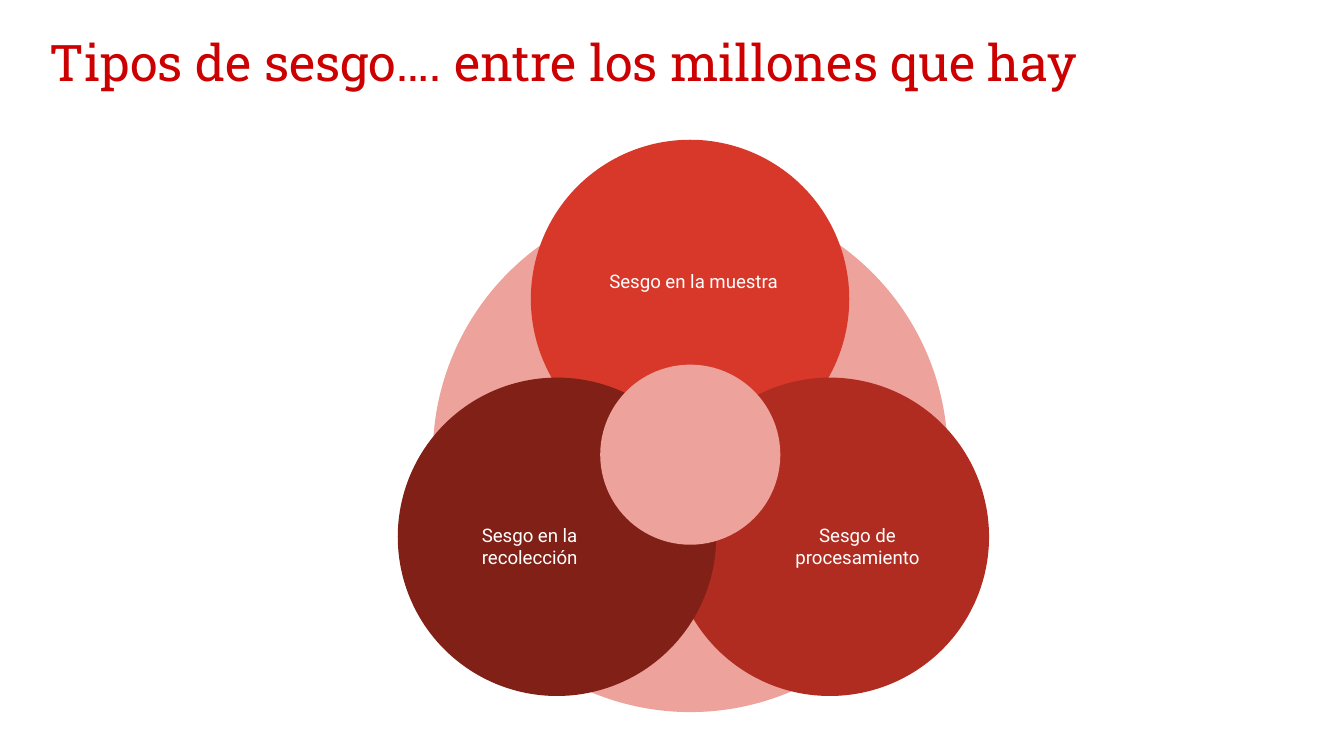
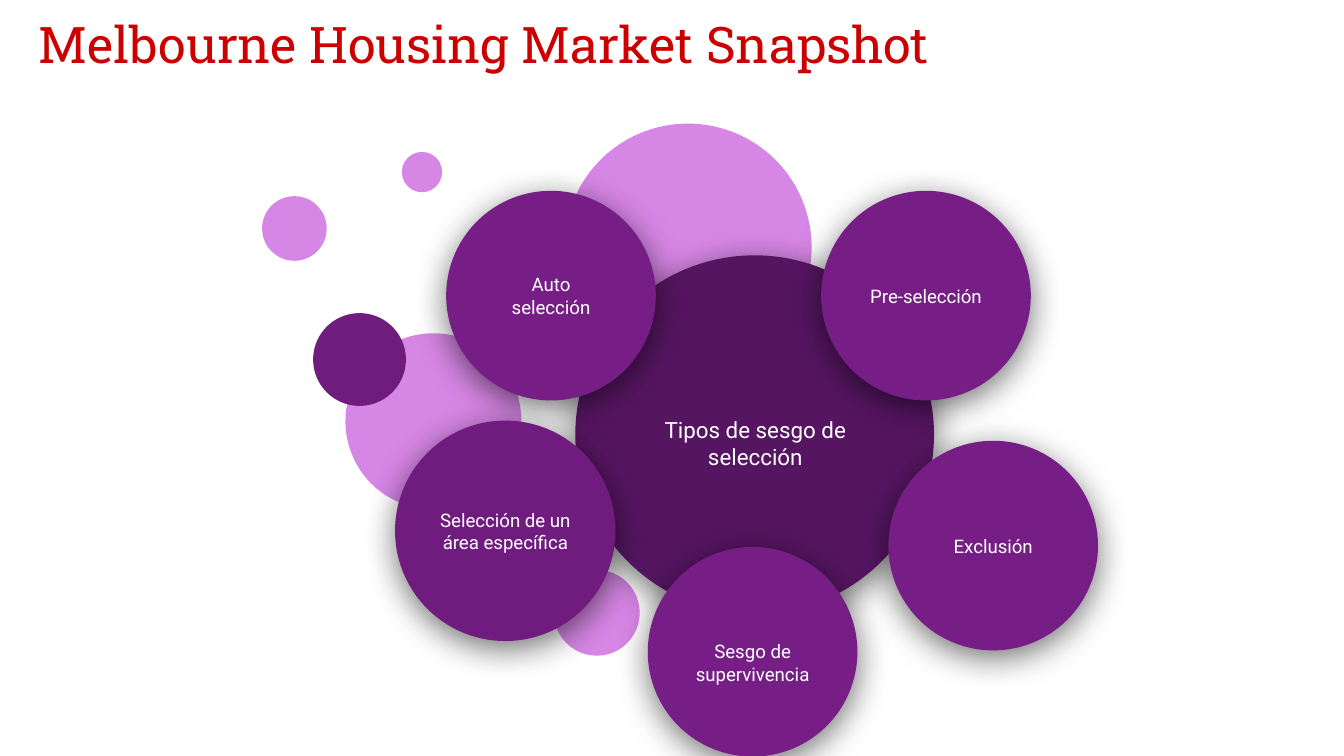
from lxml import etree
from pptx import Presentation
from pptx.dml.color import RGBColor
from pptx.enum import shapes, text
from pptx.oxml import ns
from pptx.util import Pt

WHITE = RGBColor(0xFF, 0xFF, 0xFF)
TITLE_RED = RGBColor(0xCC, 0x00, 0x00)
PALE_RED = RGBColor(0xED, 0xA2, 0x9B)
BRIGHT_RED = RGBColor(0xD8, 0x38, 0x29)
MEDIUM_RED = RGBColor(0xB0, 0x2C, 0x20)
DARK_RED = RGBColor(0x80, 0x20, 0x17)
LILAC = RGBColor(0xD6, 0x86, 0xE4)
PURPLE = RGBColor(0x76, 0x1E, 0x86)
DEEP_PURPLE = RGBColor(0x70, 0x1C, 0x7F)
DARK_PURPLE = RGBColor(0x55, 0x15, 0x61)
BLACK = RGBColor(0x00, 0x00, 0x00)

BODY_FONT = "Roboto"
TITLE_FONT = "Roboto Slab"
INSET = 7.2


def set_insets(text_frame, top=INSET):
    """Give a text frame its insets, wrapping and fixed size."""
    text_frame.margin_left = text_frame.margin_right = Pt(INSET)
    text_frame.margin_top, text_frame.margin_bottom = Pt(top), Pt(INSET)
    text_frame.word_wrap = True
    text_frame.auto_size = text.MSO_AUTO_SIZE.NONE


def format_text(text_frame, font_name, size, color, alignment):
    """Format every paragraph and run of a text frame."""
    for paragraph in text_frame.paragraphs:
        paragraph.alignment = alignment
        for run in paragraph.runs:
            run.font.name = font_name
            run.font.size = Pt(size)
            run.font.color.rgb = color


def add_titled_slide(presentation, title, left, top):
    """Add a title-only slide with its title in place."""
    slide = presentation.slides.add_slide(presentation.slide_layouts[5])
    shape = slide.shapes.title
    shape.left, shape.top, shape.width, shape.height = Pt(left), Pt(top), Pt(671), Pt(45.4)
    shape.text_frame.text = title
    set_insets(shape.text_frame)
    shape.text_frame.vertical_anchor = text.MSO_ANCHOR.TOP
    format_text(shape.text_frame, TITLE_FONT, 27, TITLE_RED, text.PP_ALIGN.LEFT)
    return slide


def add_shadow(shape):
    """Cast a soft black shadow below a shape."""
    properties = shape._element.spPr
    for effects in properties.findall(ns.qn("a:effectLst")):
        properties.remove(effects)
    effects = etree.SubElement(properties, ns.qn("a:effectLst"))
    shadow = etree.SubElement(
        effects, ns.qn("a:outerShdw"), blurRad=str(Pt(18)), dist=str(Pt(4)),
        dir="5400000", algn="ctr", rotWithShape="0")
    color = etree.SubElement(shadow, ns.qn("a:srgbClr"), val=str(BLACK))
    etree.SubElement(color, ns.qn("a:alpha"), val="55000")


def add_circle(container, center, diameter, color):
    """Add a plain filled circle around a centre point."""
    x, y = center
    shape = container.shapes.add_shape(
        shapes.MSO_SHAPE.OVAL, Pt(x - diameter / 2), Pt(y - diameter / 2),
        Pt(diameter), Pt(diameter))
    shape.shadow.inherit = False
    shape.fill.solid()
    shape.fill.fore_color.rgb = color
    shape.line.fill.background()
    return shape


def add_bubble(slide, label, center, diameter, color, label_size,
               offset=(0, 0), font_size=10, shadow=False, top_inset=INSET):
    """Add a circle grouped with its centred label."""
    group = slide.shapes.add_group_shape()
    circle = add_circle(group, center, diameter, color)
    if shadow:
        add_shadow(circle)
    width, height = label_size
    left = center[0] + offset[0] - width / 2
    top = center[1] + offset[1] - height / 2
    box = group.shapes.add_textbox(Pt(left), Pt(top), Pt(width), Pt(height))
    box.text_frame.text = label
    set_insets(box.text_frame, top_inset)
    box.text_frame.vertical_anchor = text.MSO_ANCHOR.MIDDLE
    format_text(box.text_frame, BODY_FONT, font_size, WHITE, text.PP_ALIGN.CENTER)


def build_bias_types(presentation):
    """Build the slide of three overlapping kinds of bias."""
    slide = add_titled_slide(
        presentation, "Tipos de sesgo…. entre los millones que hay", 19.4, 9.4)
    hub = (369.8, 243.6)
    add_circle(slide, hub, 275.8, PALE_RED)
    for label, center, color, offset in (
        ("Sesgo en la muestra", (369.7, 160.2), BRIGHT_RED, (1.8, -9.4)),
        ("Sesgo de procesamiento", (444.6, 287.6), MEDIUM_RED, (14.7, 5.1)),
        ("Sesgo en la recolección", (298.4, 287.6), DARK_RED, (-14.7, 5.1)),
    ):
        add_bubble(slide, label, center, 170.6, color, (118, 55.4), offset)
    add_circle(slide, hub, 96.5, PALE_RED)


def build_selection_bias(presentation):
    """Build the slide of selection biases around a central circle."""
    slide = add_titled_slide(presentation, "Melbourne Housing Market Snapshot", 13.7, 0)
    decoration = slide.shapes.add_group_shape()
    for center, diameter, color in (
        ((319.7, 328.3), 46, LILAC),
        ((157.7, 122.4), 34.6, LILAC),
        ((232.2, 225.7), 94.3, LILAC),
        ((368.6, 132.5), 132.5, LILAC),
        ((192.6, 192.6), 49.7, DEEP_PURPLE),
        ((226.1, 92.2), 21.6, LILAC),
    ):
        add_circle(decoration, center, diameter, color)
    add_bubble(slide, "Tipos de sesgo de selección", (404.3, 232.9), 192.2, DARK_PURPLE,
               (147, 91.4), (0.4, 4.3), font_size=12, shadow=True)
    small, large = (112.3, PURPLE, (76.3, 74.2)), (118.1, DEEP_PURPLE, (84.2, 74.2))
    for label, center, style, top_inset in (
        ("Auto selección", (295.2, 158.4), small, INSET),
        ("Selección de un área específica", (270.7, 284.4), large, INSET),
        ("Pre-selección", (496.1, 158.4), small, INSET),
        ("Exclusión", (532.1, 292.3), small, INSET),
        ("Sesgo de supervivencia", (403.2, 349.2), small, INSET + 11.7),
    ):
        add_bubble(slide, label, center, *style, shadow=True, top_inset=top_inset)


def main():
    """Build and save the presentation."""
    presentation = Presentation()
    presentation.slide_width, presentation.slide_height = Pt(720), Pt(405)
    build_bias_types(presentation)
    build_selection_bias(presentation)
    presentation.save("out.pptx")


if __name__ == "__main__":
    main()
